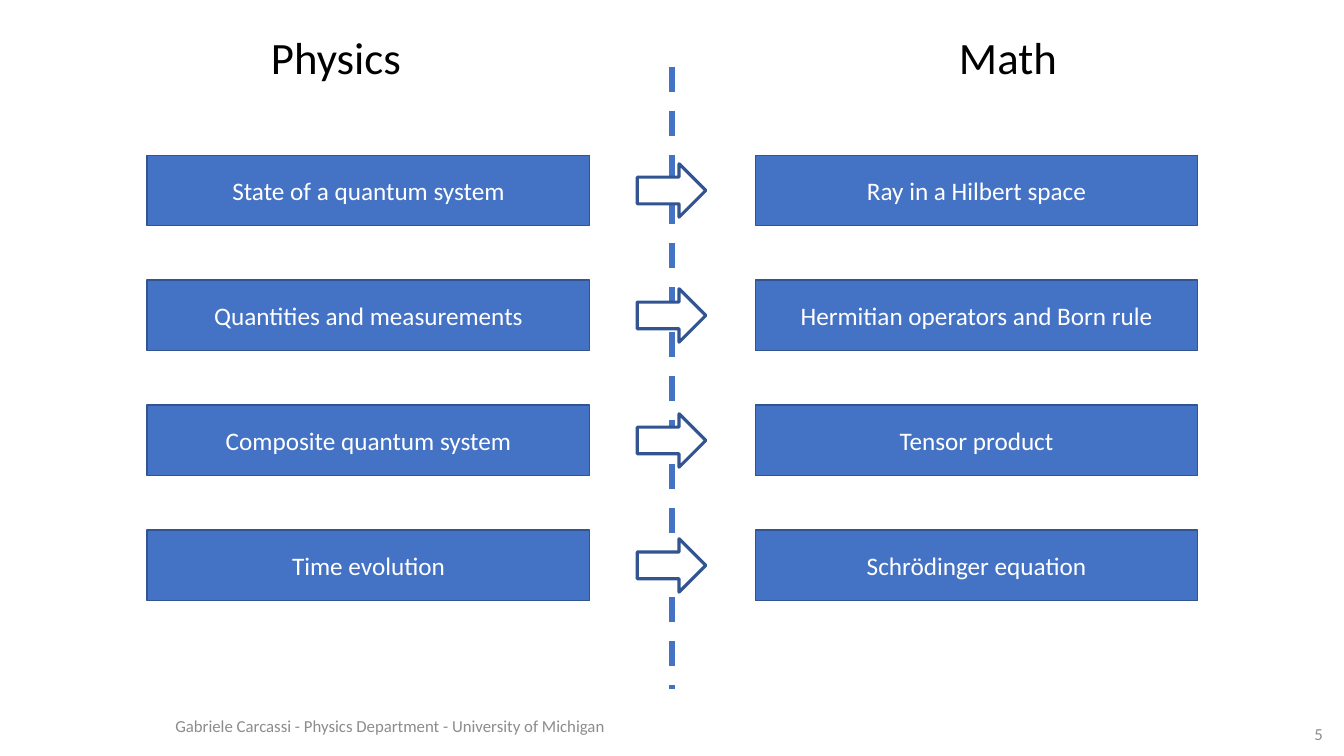
from dataclasses import dataclass

from lxml import etree
from pptx import Presentation
from pptx import util as u
from pptx.dml.color import RGBColor
from pptx.enum import dml, shapes, text
from pptx.oxml import ns

HEADINGS = ("Physics", "Math")
CORRESPONDENCES = [
    ("State of a quantum system", "Ray in a Hilbert space"),
    ("Quantities and measurements", "Hermitian operators and Born rule"),
    ("Composite quantum system", "Tensor product"),
    ("Time evolution", "Schrödinger equation"),
]
FOOTER = "Gabriele Carcassi - Physics Department - University of Michigan"
PAGE_NUMBER = "5"


@dataclass(frozen=True)
class Theme:
    font: str = "Calibri"
    blue: str = "4472C4"
    outline: str = "325491"
    white: str = "FFFFFF"
    black: str = "000000"
    grey: str = "8C8C8C"
    heading_size: int = 32
    box_size: int = 18
    footer_size: int = 12


THEME = Theme()
SLIDE_WIDTH, SLIDE_HEIGHT = 13.33, 7.5
HALF_WIDTH = SLIDE_WIDTH / 2
BOX_LEFTS = (1.46, 7.49)
BOX_WIDTH, BOX_HEIGHT = 4.39, 0.7
FIRST_ROW_TOP, ROW_STEP = 1.54, 1.24
ARROW_LEFT, ARROW_WIDTH, ARROW_HEIGHT = 6.32, 0.68, 0.53

presentation = Presentation()
presentation.slide_width = u.Inches(SLIDE_WIDTH)
presentation.slide_height = u.Inches(SLIDE_HEIGHT)
slide = presentation.slides.add_slide(presentation.slide_layouts[6])


def inches(*lengths):
    return [u.Inches(length) for length in lengths]


def write(shape, content, size, color, align=text.PP_ALIGN.CENTER,
          anchor=text.MSO_ANCHOR.MIDDLE):
    frame = shape.text_frame
    frame.word_wrap = True
    frame.vertical_anchor = anchor
    paragraph = frame.paragraphs[0]
    paragraph.alignment = align
    run = paragraph.add_run()
    run.text = content
    run.font.name = THEME.font
    run.font.size = u.Pt(size)
    run.font.color.rgb = RGBColor.from_string(color)


def add_text(content, bounds, **style):
    write(slide.shapes.add_textbox(*inches(*bounds)), content, **style)


def add_outlined(kind, bounds, fill, line_width):
    shape = slide.shapes.add_shape(kind, *inches(*bounds))
    shape.shadow.inherit = False
    shape.fill.solid()
    shape.fill.fore_color.rgb = RGBColor.from_string(fill)
    shape.line.color.rgb = RGBColor.from_string(THEME.outline)
    shape.line.width = u.Pt(line_width)
    return shape


def add_divider(x, top, bottom):
    divider = slide.shapes.add_connector(
        shapes.MSO_CONNECTOR.STRAIGHT, *inches(x, top, x, bottom))
    divider.line.color.rgb = RGBColor.from_string(THEME.blue)
    divider.line.width = u.Pt(4.5)
    divider.line.dash_style = dml.MSO_LINE.DASH
    etree.SubElement(divider.element.spPr, ns.qn("a:effectLst"))


footer_style = {"size": THEME.footer_size, "color": THEME.grey}
add_text(FOOTER, (1.64, 7, 6.53, 0.4), align=text.PP_ALIGN.LEFT, **footer_style)
add_text(PAGE_NUMBER, (12.61, 7.15, 0.61, 0.25), align=text.PP_ALIGN.RIGHT,
         **footer_style)

add_divider(HALF_WIDTH, 0.66, 6.84)

for row, pair in enumerate(CORRESPONDENCES):
    top = FIRST_ROW_TOP + row * ROW_STEP
    for left, label in zip(BOX_LEFTS, pair):
        box = add_outlined(shapes.MSO_SHAPE.RECTANGLE,
                           (left, top, BOX_WIDTH, BOX_HEIGHT), THEME.blue, 1)
        write(box, label, size=THEME.box_size, color=THEME.white)
    arrow_top = top + (BOX_HEIGHT - ARROW_HEIGHT) / 2
    add_outlined(shapes.MSO_SHAPE.RIGHT_ARROW,
                 (ARROW_LEFT, arrow_top, ARROW_WIDTH, ARROW_HEIGHT),
                 THEME.white, 2.25)

for column, heading in enumerate(HEADINGS):
    add_text(heading, (column * HALF_WIDTH, 0.25, HALF_WIDTH, 0.64),
             size=THEME.heading_size, color=THEME.black,
             anchor=text.MSO_ANCHOR.TOP)

presentation.save("out.pptx")
